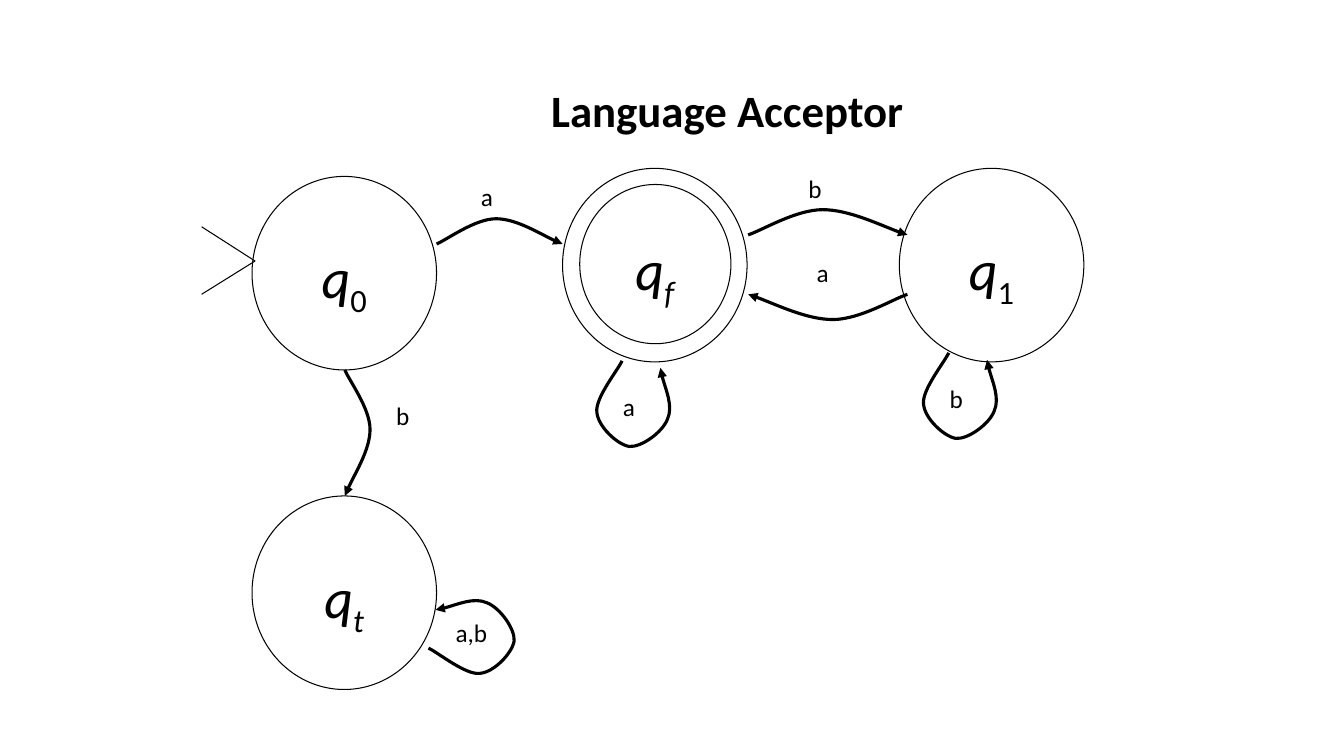
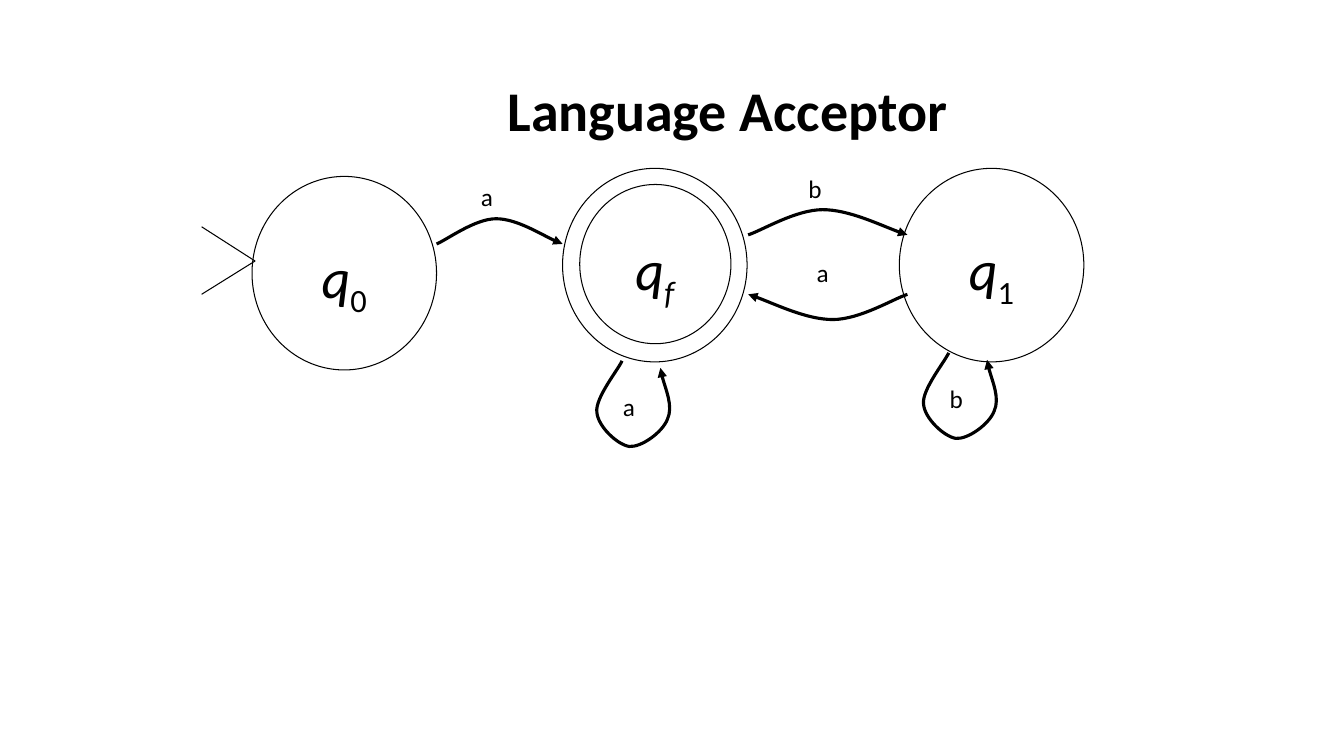
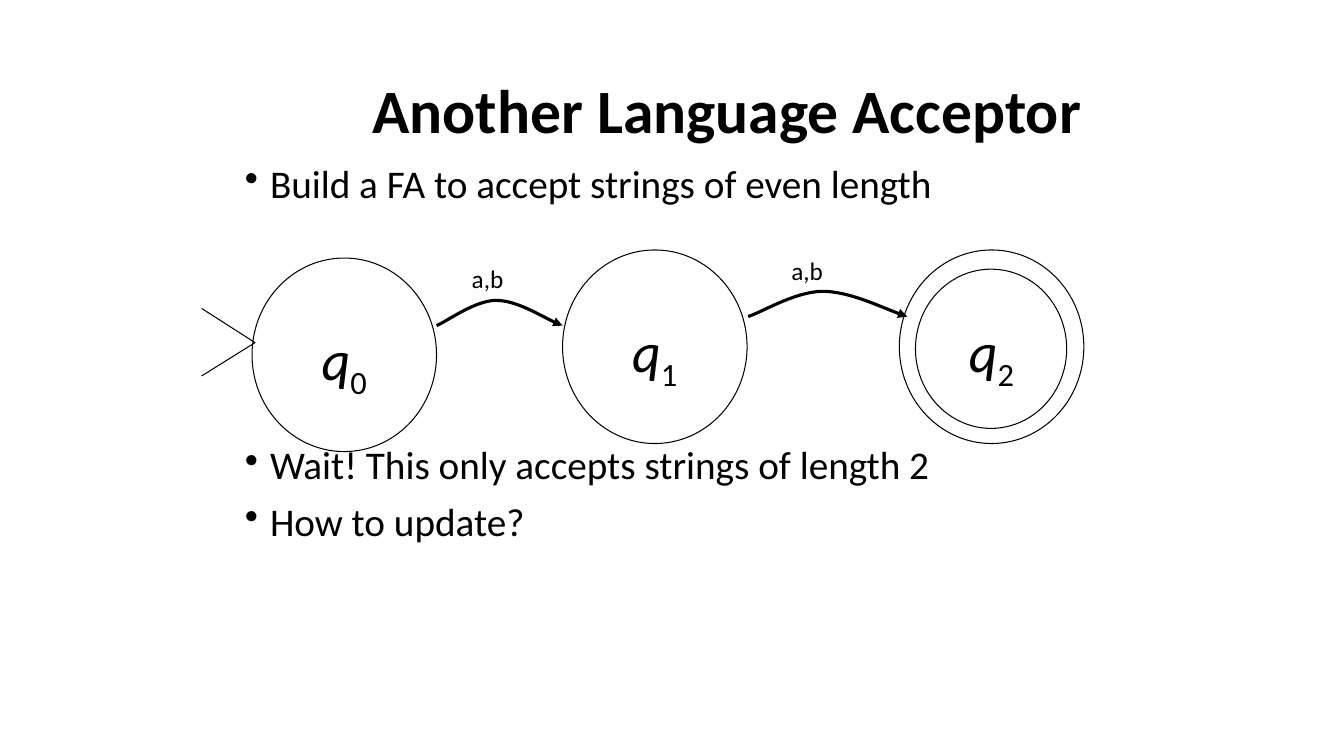
"""Build three slides that show finite automata as state diagrams."""
from lxml.etree import SubElement as Sub
from pptx import Presentation
from pptx.dml.color import RGBColor as Rgb
from pptx.enum.shapes import MSO_SHAPE as Kind
from pptx.enum.text import MSO_ANCHOR as Anchor, MSO_AUTO_SIZE as Auto, PP_ALIGN as Align
from pptx.oxml.ns import qn
from pptx.util import Pt

PX = 9144
FONT = "Calibri"
INK = {"text": "000000", "line": "000000", "fill": "FFFFFF"}
COLS = (250, 558, 892)
WIDE = {"a": 32, "b": 34, "a,b": 52}
ARC = [(0.08, -4), (0.3, -25), (0.47, -25), (0.63, -25), (0.89, -5), (1, 0)]
LOOP = [(-4, 9), (-27, 37), (-25, 51), (-24, 65), (-5, 83), (7, 85),
        (19, 86), (40, 71), (45, 58), (51, 45), (39, 18), (38, 7)]


def px(*nums):
    return [num * PX for num in nums]


def tint(key):
    return Rgb.from_string(INK[key])


def style(para, size, bold=False):
    font = para.font
    font.name, font.size, font.bold = FONT, Pt(size), bold
    font.color.rgb = tint("text")


def edge(shape, width):
    shape.shadow.inherit = False
    shape.line.color.rgb = tint("line")
    shape.line.width = Pt(width)


def title(slide, text, size):
    frame = slide.shapes.add_textbox(*px(201, 40, 1041, 145)).text_frame
    frame.word_wrap = True
    frame.vertical_anchor = Anchor.MIDDLE
    para = frame.paragraphs[0]
    para.text, para.alignment, para.line_spacing = text, Align.CENTER, 0.9
    style(para, size, True)


def points(slide, items):
    frame = slide.shapes.add_textbox(*px(233, 158, 913, 512)).text_frame
    frame.word_wrap = True
    for num, (text, gap) in enumerate(items):
        para = frame.add_paragraph() if num else frame.paragraphs[0]
        para.text, para.line_spacing, para.space_before = text, 0.9, Pt(gap)
        style(para, 28)
        props = para._p.get_or_add_pPr()
        props.set("marL", str(25 * PX))
        props.set("indent", str(-25 * PX))
        mark = props.makeelement(qn("a:buChar"), {"char": "•"})
        props.find(qn("a:defRPr")).addprevious(mark)


def label(slide, text, x, y):
    frame = slide.shapes.add_textbox(*px(x, y, WIDE[text], 40)).text_frame
    frame.word_wrap = False
    frame.auto_size = Auto.SHAPE_TO_FIT_TEXT
    frame.paragraphs[0].text = text
    style(frame.paragraphs[0], 18)


def state(slide, sub, x, y):
    disc = slide.shapes.add_shape(Kind.OVAL, *px(x, y, 183, 192))
    edge(disc, 0.75)
    disc.fill.solid()
    disc.fill.fore_color.rgb = tint("fill")
    frame = disc.text_frame
    frame.word_wrap = False
    frame.vertical_anchor = Anchor.MIDDLE
    para = frame.paragraphs[0]
    para.alignment, para.line_spacing = Align.CENTER, 1.2
    style(para, 40)
    name, low = para.add_run(), para.add_run()
    name.text, name.font.italic = "q", True
    low.text, low.font.italic = sub, sub.isalpha()
    low.font._element.set("baseline", "-25000")


def ring(slide, x, y):
    disc = slide.shapes.add_shape(Kind.OVAL, *px(x, y, 150, 158))
    edge(disc, 0.75)
    disc.fill.background()


def trace(slide, start, rest, width):
    pen = slide.shapes.build_freeform(*start, scale=PX)
    pen.add_line_segments(rest, close=False)
    shape = pen.convert_to_shape()
    shape.fill.background()
    edge(shape, width)
    return shape


def entry(slide, y):
    trace(slide, (200, y), [(253, y + 34), (200, y + 67)], 0.75)


def curve(slide, x, y, steps, turn=0):
    for _ in range(turn):
        steps = [(-dy, dx) for dx, dy in steps]
    shape = trace(slide, (x, y), [(x + dx, y + dy) for dx, dy in steps], 2.25)
    route = next(shape.element.iter(qn("a:path")))
    lines = route.findall(qn("a:lnTo"))
    for num in range(0, len(lines), 3):
        bend = Sub(route, qn("a:cubicBezTo"))
        for line in lines[num:num + 3]:
            bend.append(line[0])
            route.remove(line)
    Sub(shape.element.spPr.find(qn("a:ln")), qn("a:tailEnd"), type="triangle")


def arc(slide, x, y, span, turn=0):
    curve(slide, x, y, [(round(part * span), dy) for part, dy in ARC], turn)


def chain(slide, subs, top, last):
    for sub, x, drop in zip(subs, COLS, (8, 0, 0)):
        state(slide, sub, x, top + drop)
    entry(slide, top + 58)
    ring(slide, *last)
    arc(slide, 433, top + 75, 125)
    arc(slide, 742, top + 66, 158)


def accept(slide, size):
    title(slide, "Language Acceptor", size)
    chain(slide, "0f1", 167, (575, 183))
    arc(slide, 900, 292, 158, 2)
    curve(slide, 617, 358, LOOP)
    curve(slide, 941, 350, LOOP)
    for text, x, y in (("a", 467, 175), ("b", 792, 167), ("a", 800, 250),
                       ("a", 608, 383), ("b", 932, 375)):
        label(slide, text, x, y)


def trap(slide):
    state(slide, "t", COLS[0], 492)
    arc(slide, 342, 367, 125, 1)
    curve(slide, 425, 643, LOOP, 3)
    label(slide, "b", 383, 392)
    label(slide, "a,b", 442, 608)


def even(slide):
    title(slide, "Another Language Acceptor", 44)
    points(slide, [("Build a FA to accept strings of even length", 10),
                   ("Wait! This only accepts strings of length 2", 171),
                   ("How to update?", 10)])
    chain(slide, "012", 248, (908, 267))
    label(slide, "a,b", 458, 256)
    label(slide, "a,b", 775, 248)


def main():
    deck = Presentation()
    deck.slide_width, deck.slide_height = px(1333, 750)
    full, brief, other = [deck.slides.add_slide(deck.slide_layouts[6]) for _ in range(3)]
    accept(full, 32)
    trap(full)
    accept(brief, 40)
    even(other)
    deck.save("out.pptx")


if __name__ == "__main__":
    main()
